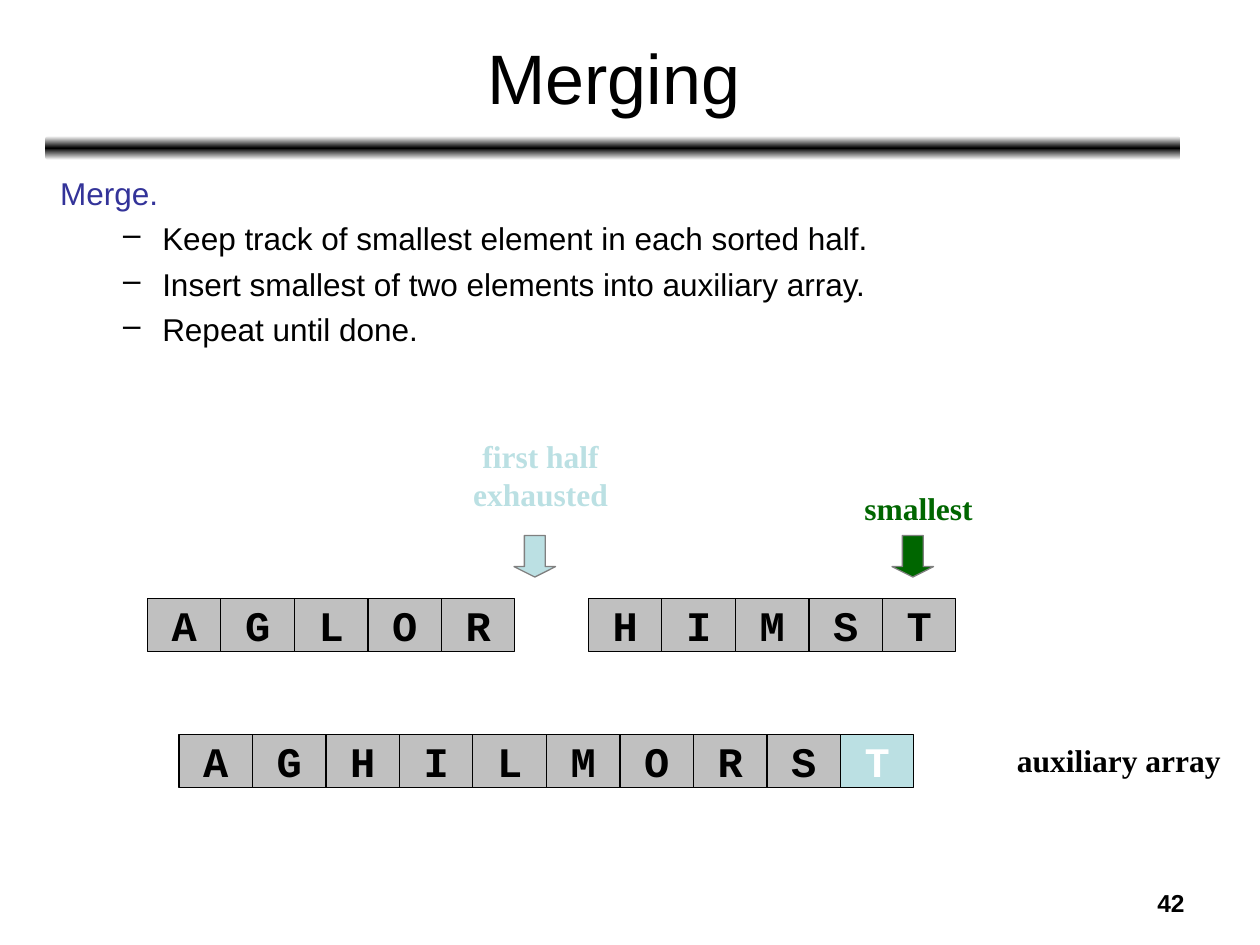
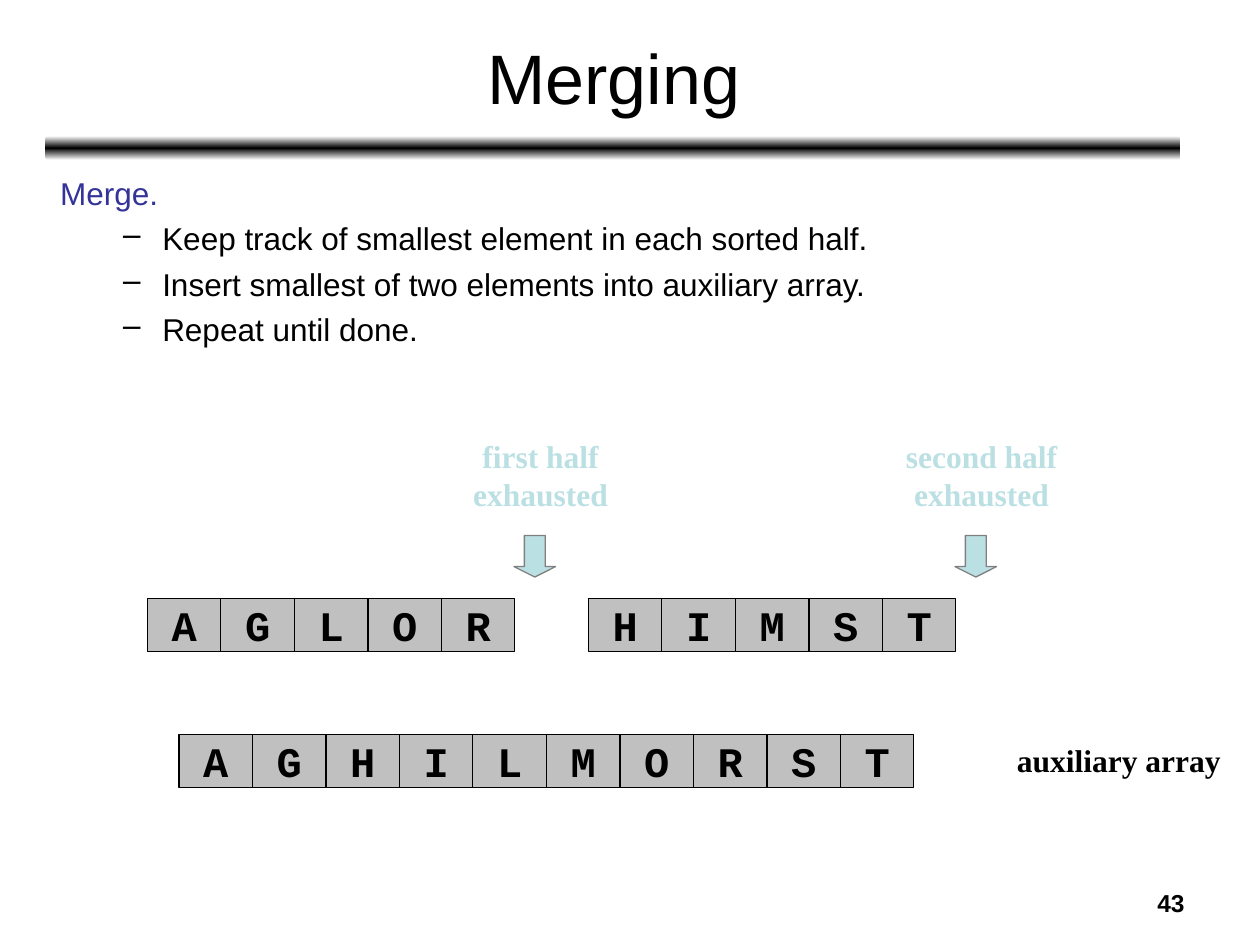
from copy import deepcopy

from lxml.etree import SubElement
from pptx import Presentation
from pptx.dml.color import RGBColor
from pptx.enum.shapes import MSO_SHAPE
from pptx.enum.text import MSO_ANCHOR, PP_ALIGN
from pptx.oxml.ns import qn
from pptx.util import Inches, Pt

BLACK = RGBColor(0x00, 0x00, 0x00)
WHITE = RGBColor(0xFF, 0xFF, 0xFF)
BLUE = RGBColor(0x33, 0x33, 0x99)
GREEN = RGBColor(0x00, 0x66, 0x00)
PALE = RGBColor(0xBB, 0xE0, 0xE3)
SILVER = RGBColor(0xC0, 0xC0, 0xC0)
GRAY = RGBColor(0x80, 0x80, 0x80)

# Text styles: font attributes, with the colour kept apart
TITLE = dict(name="Arial", size=Pt(40), bold=False)
BODY = dict(name="Arial", size=Pt(18), bold=False)
NUMBER = dict(name="Arial", size=Pt(14), bold=True)
LABEL = dict(name="Times New Roman", size=Pt(18), bold=True)
LETTER = dict(name="Courier New", size=Pt(24), bold=True)

CELL_WIDTH, CELL_HEIGHT = 7 / 12, 0.42
ARROW_SIZE = 0.33

STEPS = [
    "Keep track of smallest element in each sorted half.",
    "Insert smallest of two elements into auxiliary array.",
    "Repeat until done.",
]

# Page number, marker of the second half (arrow left, label, colour),
# position of the element just inserted
STAGES = [
    (42, (7.08, "smallest", GREEN), 9),
    (43, (7.58, "second half\nexhausted", PALE), None),
]


def inches(*box):
    return [Inches(length) for length in box]


def write(paragraph, text, style, color=BLACK, align=PP_ALIGN.CENTER):
    paragraph.text = text
    paragraph.alignment = align
    for run in paragraph.runs:
        for attribute, value in style.items():
            setattr(run.font, attribute, value)
        run.font.color.rgb = color


def add_text(slide, box, text, style, color=BLACK, align=PP_ALIGN.CENTER):
    frame = slide.shapes.add_textbox(*inches(*box)).text_frame
    frame.word_wrap = True
    write(frame.paragraphs[0], text, style, color, align)
    return frame


def add_block(slide, preset, box, fill, outline):
    block = slide.shapes.add_shape(preset, *inches(*box))
    block.shadow.inherit = False
    block.fill.solid()
    block.fill.fore_color.rgb = fill
    block.line.color.rgb = outline
    block.line.width = Pt(0.75)
    return block


def add_band(slide, box):
    band = slide.shapes.add_shape(MSO_SHAPE.ROUNDED_RECTANGLE, *inches(*box))
    band.shadow.inherit = False
    band.line.fill.background()
    band.fill.gradient()
    band.fill.gradient_angle = 270
    # A third stop lets the band fade out on both edges
    stops = band._element.spPr.find(".//" + qn("a:gsLst"))
    stops.append(deepcopy(stops[-1]))
    shades = [(0, WHITE), (0.5, BLACK), (1, WHITE)]
    for stop, (position, color) in zip(band.fill.gradient_stops, shades):
        stop.position = position
        stop.color.rgb = color


def add_title(slide, box, text):
    title = slide.shapes.title
    title.left, title.top, title.width, title.height = inches(*box)
    title.text_frame.vertical_anchor = MSO_ANCHOR.MIDDLE
    write(title.text_frame.paragraphs[0], text, TITLE)


def add_steps(slide, box, heading, steps):
    frame = add_text(slide, box, heading, BODY, BLUE, PP_ALIGN.LEFT)
    for step in steps:
        paragraph = frame.add_paragraph()
        write(paragraph, step, BODY, align=PP_ALIGN.LEFT)
        paragraph.space_before = Pt(4.4)
        properties = paragraph._p.get_or_add_pPr()
        properties.set("marL", str(Inches(0.81)))
        properties.set("indent", str(Inches(-0.31)))
        SubElement(properties, qn("a:buChar"), char="–")


def add_marker(slide, left, top, text, color):
    """Down arrow at the given corner, with its label above."""
    rise, height = (0.83, 0.7) if "\n" in text else (0.42, 0.4)
    add_text(slide, (left - 0.83, top - rise, 2.08, height), text, LABEL, color)
    arrow = add_block(slide, MSO_SHAPE.DOWN_ARROW,
                      (left, top, ARROW_SIZE, ARROW_SIZE), color, GRAY)
    arrow.adjustments[0], arrow.adjustments[1] = 0.5, 0.25


def add_array(slide, left, top, letters, inserted=None):
    for index, letter in enumerate(letters):
        fill, ink = (PALE, WHITE) if index == inserted else (SILVER, BLACK)
        box = (left + index * CELL_WIDTH, top, CELL_WIDTH, CELL_HEIGHT)
        cell = add_block(slide, MSO_SHAPE.RECTANGLE, box, fill, BLACK)
        cell.text_frame.word_wrap = False
        cell.text_frame.vertical_anchor = MSO_ANCHOR.MIDDLE
        write(cell.text_frame.paragraphs[0], letter, LETTER, ink)


def add_merging_slide(deck, number, second_marker, inserted):
    slide = deck.slides.add_slide(deck.slide_layouts[5])
    # Frame shared by all slides
    add_band(slide, (0.36, 1.08, 9.01, 0.19))
    add_title(slide, (0.37, 0.11, 9, 0.99), "Merging")
    add_text(slide, (7.17, 7, 2.33, 0.35), str(number), NUMBER,
             align=PP_ALIGN.RIGHT)
    add_steps(slide, (0.38, 1.33, 9, 5.55), "Merge.", STEPS)
    # Sorted halves and their markers
    arrow_left, label, color = second_marker
    add_marker(slide, 4.08, 4.25, "first half\nexhausted", PALE)
    add_marker(slide, arrow_left, 4.25, label, color)
    add_array(slide, 1.17, 4.75, "AGLOR")
    add_array(slide, 4.67, 4.75, "HIMST")
    # Merged result
    add_array(slide, 1.42, 5.83, "AGHILMORST", inserted)
    add_text(slide, (7.92, 5.83, 1.92, 0.4), "auxiliary array", LABEL)


def main():
    deck = Presentation()
    deck.slide_width, deck.slide_height = inches(10, 7.5)
    for stage in STAGES:
        add_merging_slide(deck, *stage)
    deck.save("out.pptx")


if __name__ == "__main__":
    main()
